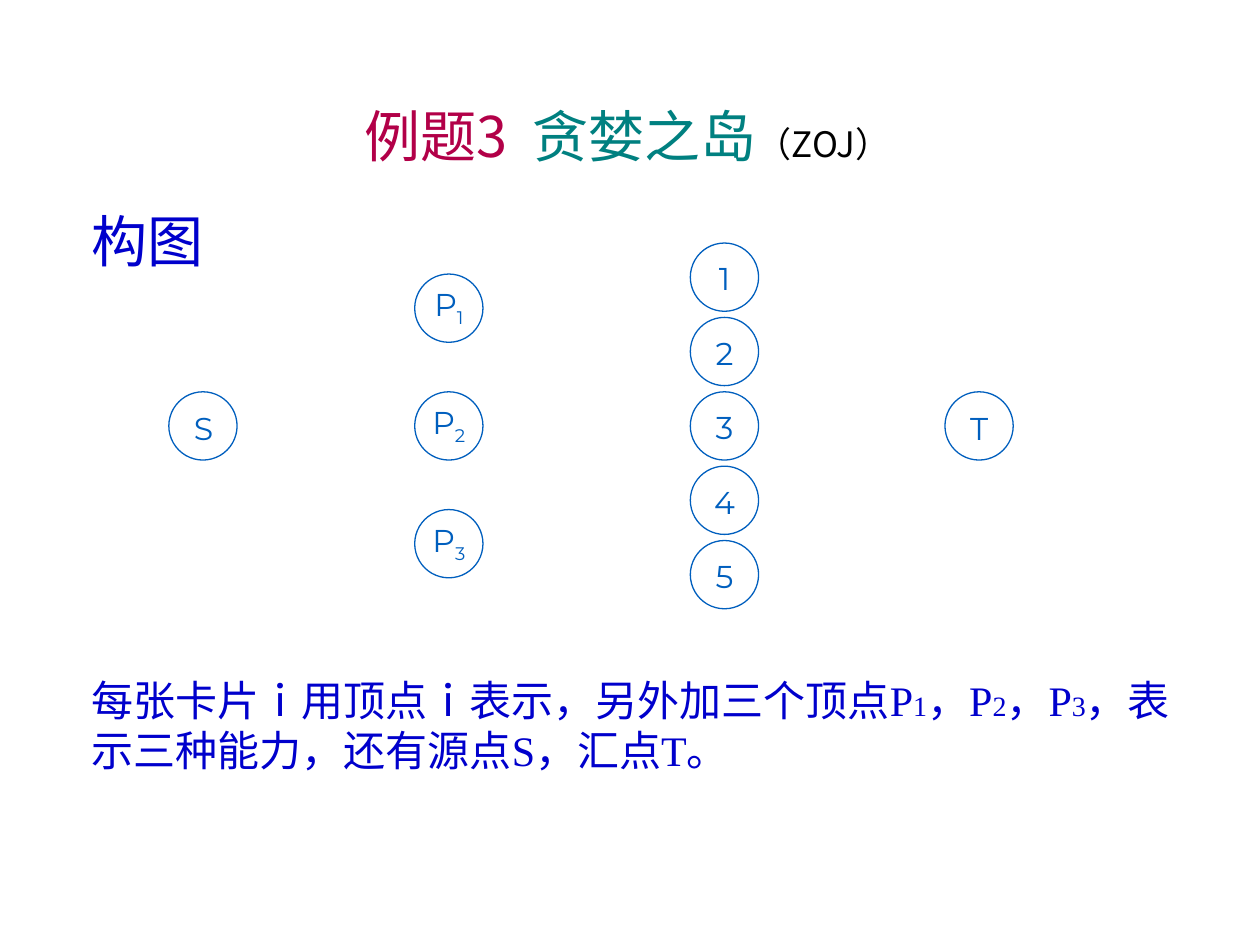
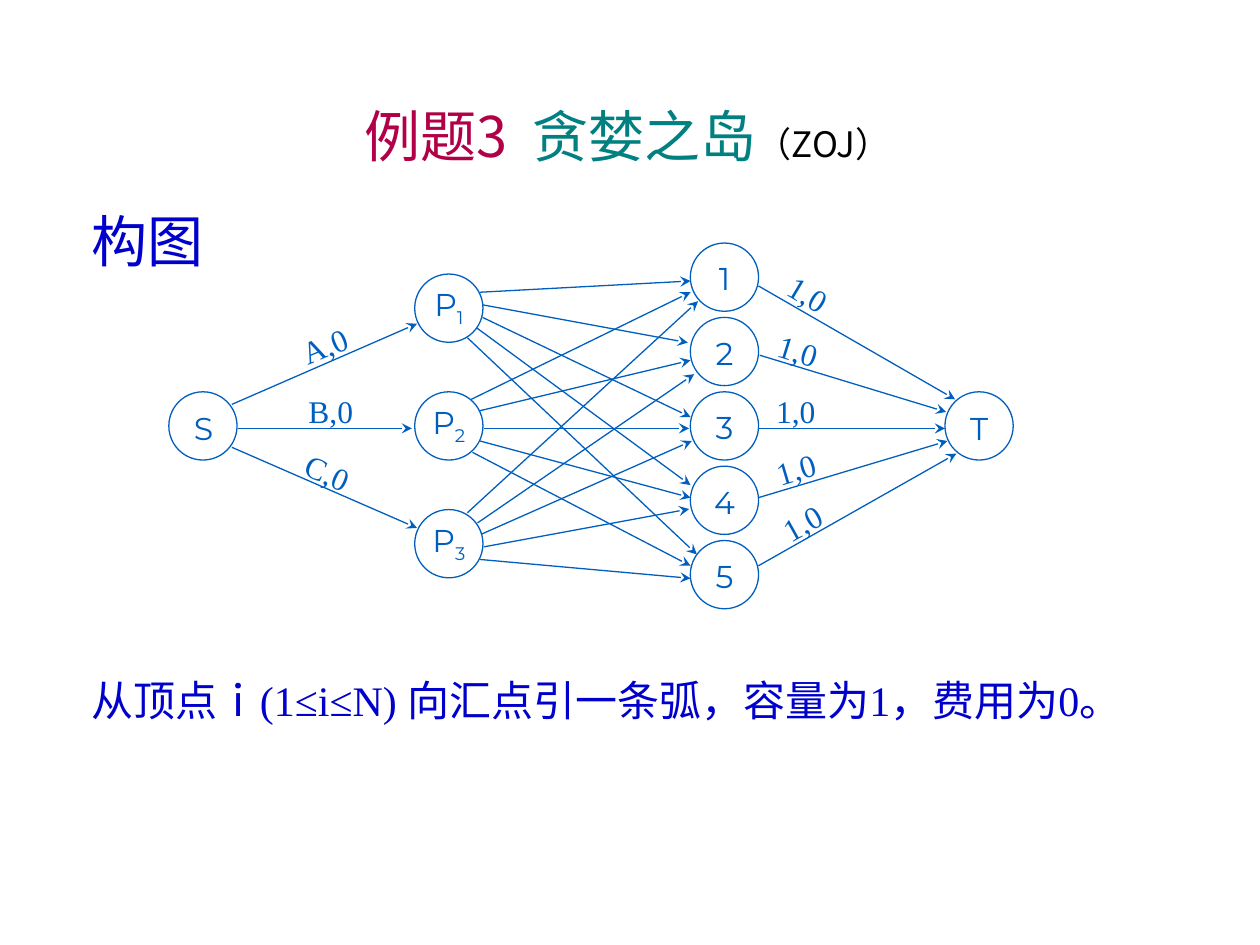
"""Build two slides on modelling a card-game problem as a flow network."""

from dataclasses import dataclass

from lxml import etree
from pptx import Presentation
from pptx.dml.color import RGBColor
from pptx.enum.shapes import MSO_CONNECTOR, MSO_SHAPE
from pptx.enum.text import MSO_ANCHOR, PP_ALIGN
from pptx.oxml.ns import qn
from pptx.slide import Slide
from pptx.util import Pt

TOP, MIDDLE = MSO_ANCHOR.TOP, MSO_ANCHOR.MIDDLE
LEFT, CENTER = PP_ALIGN.LEFT, PP_ALIGN.CENTER
ELLIPSE, STRAIGHT = MSO_SHAPE.OVAL, MSO_CONNECTOR.STRAIGHT

SANS, SERIF, GRAPH = "Noto Sans CJK SC", "Times New Roman", "Montserrat"
INK, LINE, MAROON, TEAL, BLACK = "0000CC", "005FBE", "B20048", "008080", "000000"

NODE_SIZE = 39
NODE_MIDDLE = 243.4
LABEL_HEIGHT = 28.8


@dataclass(frozen=True)
class Run:
    """Text in one format."""

    text: str
    size: float
    font: str
    color: str
    attributes: tuple[tuple[str, str], ...] = ()


@dataclass(frozen=True)
class TextBlock:
    """A text box with its place and layout."""

    left: float
    top: float
    width: float
    height: float
    runs: tuple[Run, ...]
    anchor: MSO_ANCHOR = MIDDLE
    align: PP_ALIGN = CENTER
    wrap: bool = True
    top_inset: float = 3.6
    line_height: float | None = None
    rotation: float = 0


@dataclass(frozen=True)
class NodeColumn:
    """Equally spaced graph nodes centred on the graph's middle line."""

    left: float
    names: tuple[str, ...]
    step: float
    label_width: float
    label_height: float
    label_shift: float


@dataclass(frozen=True)
class Arc:
    """An arrow between two nodes."""

    start: tuple[float, float]
    end: tuple[float, float]


@dataclass(frozen=True)
class ArcLabel:
    """Capacity and cost of an arc, centred on a point."""

    text: str
    center_x: float
    center_y: float
    rotation: float = 0


def serif(text: str, size: float = 24) -> Run:
    """Return a run of explanation text."""
    return Run(text, size, SERIF, INK)


TITLE = TextBlock(22.3, 54, 672.5, 46, (
    Run("例题3", 32, SANS, MAROON),
    Run(" ", 32, SANS, MAROON, (("spc", "720"),)),
    Run("贪婪之岛", 32, "Comic Neue", TEAL),
    Run("（", 20, "Arial", BLACK),
    Run("ZOJ", 20, SANS, BLACK),
    Run("）", 20, "Arial", BLACK),
))
HEADING = TextBlock(45.4, 110.9, 175.7, 46, (Run("构图", 32, SANS, INK),),
                    anchor=TOP, align=LEFT, line_height=42)

COLUMNS = (
    NodeColumn(96.5, ("S",), 0, 24.5, LABEL_HEIGHT, 1.4),
    NodeColumn(237, ("P1", "P2", "P3"), 67.3, 56.9, 31.7, -0.7),
    NodeColumn(394.5, ("1", "2", "3", "4", "5"), 42.5, 31.7, LABEL_HEIGHT, 0.7),
    NodeColumn(540, ("T",), 0, 24.5, LABEL_HEIGHT, 1.4),
)

ARCS = (
    Arc((132.5, 231.1), (238.3, 185)),
    Arc((136, 244.8), (235.4, 244.8)),
    Arc((132.5, 255.6), (238.3, 301.7)),
    Arc((274.3, 167), (394.6, 160.6)),
    Arc((275.8, 174.2), (393.1, 195.8)),
    Arc((275.8, 181.4), (394.6, 238.3)),
    Arc((272.2, 187.2), (394.6, 277.2)),
    Arc((267.1, 193), (398.2, 316.8)),
    Arc((269.3, 228.2), (394.6, 167)),
    Arc((274.3, 234.7), (394.6, 205.9)),
    Arc((276.5, 244.8), (393.8, 244.8)),
    Arc((274.3, 252), (394.6, 284.4)),
    Arc((270, 258.5), (394.6, 323.3)),
    Arc((267.1, 293), (398.9, 172.1)),
    Arc((272.9, 298.8), (396.7, 213.8)),
    Arc((275, 305.3), (395.3, 252)),
    Arc((276.5, 312.5), (393.8, 290.9)),
    Arc((274.3, 319.7), (394.6, 330.5)),
    Arc((433.4, 163.4), (545.8, 228.2)),
    Arc((434.2, 203), (540.7, 235.4)),
    Arc((433.4, 244.8), (540, 244.8)),
    Arc((433.4, 284.4), (541.4, 252)),
    Arc((433.4, 323.3), (546.5, 259.2)),
)

ARC_LABELS = (
    ArcLabel("A,0", 185.4, 197.3, 337.3),
    ArcLabel("B,0", 189, 234.7),
    ArcLabel("C,0", 187.2, 270, 23.8),
    ArcLabel("1,0", 461.9, 167.8, 30.8),
    ArcLabel("1,0", 456.1, 200.2, 17.2),
    ArcLabel("1,0", 454.7, 234.7),
    ArcLabel("1,0", 454.7, 267.8, 343.4),
    ArcLabel("1,0", 458.3, 298.8, 330.8),
)

NODES_TEXT = (
    serif("每张卡片ｉ用顶点ｉ表示，另外加三个顶点P"), serif("1", 16),
    serif("，P"), serif("2", 16), serif("，P"), serif("3", 16),
    serif("，表示三种能力，还有源点S，汇点T。"),
)
ARCS_TEXT = (serif("从顶点ｉ(1≤i≤N) 向汇点引一条弧，容量为1，费用为0。"),)


def rgb(color: str) -> RGBColor:
    """Turn a hex string into a colour."""
    return RGBColor.from_string(color)


def apply(target: object, values: dict[str, object]) -> None:
    """Set each attribute named in a dict."""
    for name, value in values.items():
        setattr(target, name, value)


def draw_text(slide: Slide, block: TextBlock) -> None:
    """Draw a one-paragraph text box."""
    shape = slide.shapes.add_textbox(
        Pt(block.left), Pt(block.top), Pt(block.width), Pt(block.height))
    shape.rotation = block.rotation
    apply(shape.text_frame, {
        "word_wrap": block.wrap, "vertical_anchor": block.anchor,
        "margin_left": Pt(7.2), "margin_right": Pt(7.2),
        "margin_top": Pt(block.top_inset), "margin_bottom": Pt(3.6)})
    paragraph = shape.text_frame.paragraphs[0]
    paragraph.alignment = block.align
    if block.line_height:
        paragraph.line_spacing = Pt(block.line_height)
    for piece in block.runs:
        run = paragraph.add_run()
        run.text = piece.text
        apply(run.font, {"size": Pt(piece.size), "name": piece.font})
        run.font.color.rgb = rgb(piece.color)
        properties = run.font._element
        etree.SubElement(properties, qn("a:ea"), typeface=SANS)
        for name, value in piece.attributes:
            properties.set(name, value)


def draw_column(slide: Slide, column: NodeColumn) -> None:
    """Draw the circles of a column with their names."""
    for index, name in enumerate(column.names):
        middle = NODE_MIDDLE + column.step * (index - (len(column.names) - 1) / 2)
        circle = slide.shapes.add_shape(
            ELLIPSE, Pt(column.left), Pt(middle - NODE_SIZE / 2),
            Pt(NODE_SIZE), Pt(NODE_SIZE))
        circle.shadow.inherit = False
        circle.fill.background()
        circle.line.color.rgb = rgb(LINE)
        circle.line.width = Pt(0.75)
        runs = [Run(name[0], 18, GRAPH, LINE)]
        if name[1:]:
            runs.append(Run(name[1:], 18, GRAPH, LINE, (("baseline", "-25000"),)))
        draw_text(slide, TextBlock(
            column.left + (NODE_SIZE - column.label_width) / 2,
            middle + column.label_shift - column.label_height / 2,
            column.label_width, column.label_height, tuple(runs), wrap=False))


def draw_arc(slide: Slide, arc: Arc) -> None:
    """Draw an arrow."""
    connector = slide.shapes.add_connector(
        STRAIGHT, *(Pt(value) for value in arc.start + arc.end))
    connector.line.color.rgb = rgb(LINE)
    connector.line.width = Pt(0.75)
    properties = connector.element.spPr
    etree.SubElement(properties.find(qn("a:ln")), qn("a:tailEnd"), type="stealth")
    etree.SubElement(properties, qn("a:effectLst"))


def draw_arc_label(slide: Slide, label: ArcLabel) -> None:
    """Draw the text along an arc."""
    width = 57
    draw_text(slide, TextBlock(
        label.center_x - width / 2, label.center_y - LABEL_HEIGHT / 2,
        width, LABEL_HEIGHT, (Run(label.text, 18, SERIF, LINE),),
        wrap=False, rotation=label.rotation))


def add_graph_slide(presentation: Presentation, runs: tuple[Run, ...],
                    height: float) -> Slide:
    """Add a slide with title, heading, nodes and explanation."""
    slide = presentation.slides.add_slide(presentation.slide_layouts[6])
    draw_text(slide, HEADING)
    for column in COLUMNS:
        draw_column(slide, column)
    draw_text(slide, TextBlock(45.4, 379.4, 643.7, height, runs, anchor=TOP,
                               align=LEFT, top_inset=6, line_height=28.6))
    draw_text(slide, TITLE)
    return slide


def main() -> None:
    """Build and save the presentation."""
    presentation = Presentation()
    apply(presentation, {"slide_width": Pt(720), "slide_height": Pt(540)})
    add_graph_slide(presentation, NODES_TEXT, 64.8)
    arcs_slide = add_graph_slide(presentation, ARCS_TEXT, 36)
    for arc in ARCS:
        draw_arc(arcs_slide, arc)
    for label in ARC_LABELS:
        draw_arc_label(arcs_slide, label)
    presentation.save("out.pptx")


if __name__ == "__main__":
    main()
